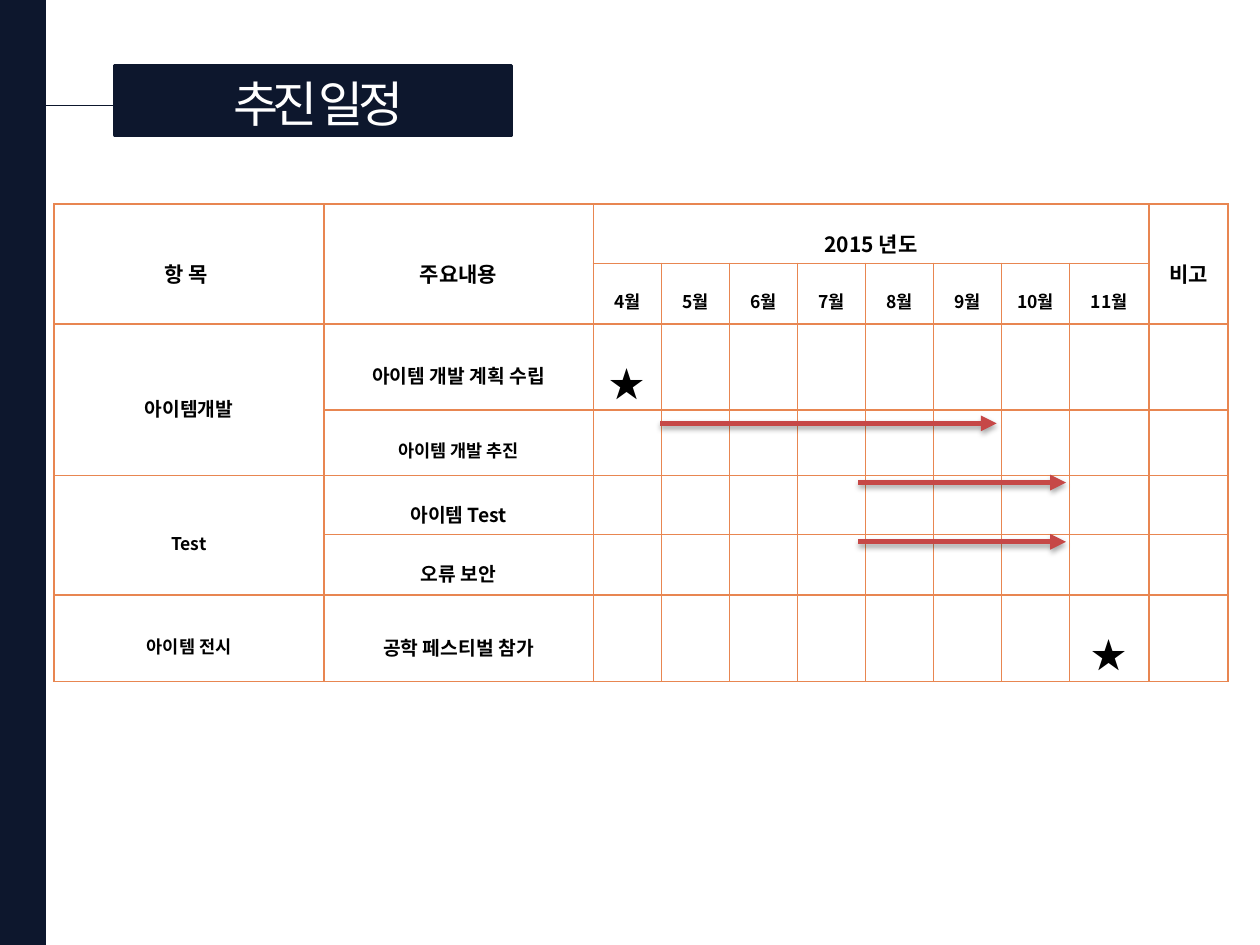
import pptx
import pptx.dml.color
import pptx.enum.shapes
import pptx.enum.text
import pptx.oxml
import pptx.oxml.ns
import pptx.util
from lxml import etree
from pptx.util import Inches

FONT = "Noto Sans CJK KR"
COLORS = {"navy": "0D172D", "white": "FFFFFF", "black": "000000",
          "grid": "E88651", "arrow": "C64847"}
COLUMN_WIDTHS = [2.14] * 2 + [0.54] * 7 + [0.63] * 2
ROW_HEIGHTS = [0.47, 0.48, 0.48, 0.52, 0.47, 0.48, 0.56]
MERGES = [(0, 0, 1, 0), (0, 1, 1, 1), (0, 2, 0, 9), (0, 10, 1, 10),
          (2, 0, 3, 0), (4, 0, 5, 0)]
ENTRIES = {
    (0, 0): ("항 목 ", 12), (0, 1): ("주요내용", 12),
    (0, 2): ("2015 년도", 12), (0, 10): ("비고", 12),
    (2, 0): ("아이템개발", 11), (2, 1): ("아이템 개발 계획 수립", 11),
    (2, 2): ("★", 20), (3, 1): ("아이템 개발 추진", 10),
    (4, 0): ("Test", 10), (4, 1): ("아이템 Test", 11),
    (5, 1): ("오류 보안", 11), (6, 0): ("아이템 전시", 10),
    (6, 1): ("공학 페스티벌 참가", 11), (6, 9): ("★", 20),
    **{(1, month - 2): (f"{month}월", 10) for month in range(4, 12)},
}
ARROWS = [(5.24, 7.91, 3.36), (6.81, 8.46, 3.83), (6.81, 8.46, 4.3)]


def rgb(name):
    """Return the named colour."""
    return pptx.dml.color.RGBColor.from_string(COLORS[name])


def add_child(parent, tag, **attributes):
    """Append a drawing element with attributes to the parent."""
    child = etree.SubElement(parent, pptx.oxml.ns.qn(f"a:{tag}"))
    for name, value in attributes.items():
        child.set(name, str(value))
    return child


def add_run(paragraph, text, size, color, bold=False):
    """Add a centred run in the slide font."""
    paragraph.alignment = pptx.enum.text.PP_ALIGN.CENTER
    run = paragraph.add_run()
    run.text = text
    run.font.size = pptx.util.Pt(size)
    run.font.bold = bold
    run.font.name = FONT
    run.font.color.rgb = rgb(color)
    properties = run.font._element
    add_child(properties, "ea", typeface=FONT)
    return properties


def add_block(slide, left, top, width, height):
    """Add a solid navy rectangle."""
    block = slide.shapes.add_shape(
        pptx.enum.shapes.MSO_SHAPE.RECTANGLE,
        Inches(left), Inches(top), Inches(width), Inches(height))
    block.shadow.inherit = False
    block.fill.solid()
    block.fill.fore_color.rgb = rgb("navy")
    block.line.color.rgb = rgb("navy")
    block.line.width = pptx.util.Pt(2)


def add_line(slide, start, end, y, color, width):
    """Add a horizontal line and return it with its empty effect list."""
    line = slide.shapes.add_connector(
        pptx.enum.shapes.MSO_CONNECTOR.STRAIGHT,
        Inches(start), Inches(y), Inches(end), Inches(y))
    line.line.color.rgb = rgb(color)
    line.line.width = pptx.util.Pt(width)
    return line, add_child(line._element.spPr, "effectLst")


def add_heading(slide, left, top, width, height):
    """Place the side bar, the title block and the title in its box."""
    add_block(slide, 0.91, 0.52, 3.15, 0.55)
    add_block(slide, 0, -0.01, 0.35, 7.51)
    title = slide.shapes.title
    title.left, title.top = Inches(left), Inches(top)
    title.width, title.height = Inches(width), Inches(height)
    slide.shapes._spTree.append(title._element)
    frame = title.text_frame
    frame.word_wrap = True
    frame.vertical_anchor = pptx.enum.text.MSO_ANCHOR.TOP
    properties = add_run(frame.paragraphs[0], "추진 일정", 28, "white")
    properties.set("spc", "-300")
    add_line(slide, 0.28, 0.98, 0.84, "navy", 0.75)


def style_cell(cell):
    """Clear the fill and draw all four borders of a cell."""
    cell.fill.background()
    cell.vertical_anchor = pptx.enum.text.MSO_ANCHOR.MIDDLE
    cell.margin_left = cell.margin_right = Inches(0.02)
    cell.margin_top = cell.margin_bottom = Inches(0.02)
    properties = cell._tc.get_or_add_tcPr()
    for position, side in enumerate(("lnL", "lnR", "lnT", "lnB")):
        border = add_child(properties, side, w=pptx.util.Pt(1))
        fill = add_child(border, "solidFill")
        add_child(fill, "srgbClr", val=COLORS["grid"])
        properties.insert(position, border)


def add_schedule(slide, left, top, width, height):
    """Place the schedule table in its box."""
    schedule = slide.shapes.add_table(
        len(ROW_HEIGHTS), len(COLUMN_WIDTHS),
        Inches(left), Inches(top), Inches(width), Inches(height)).table
    schedule.first_row = schedule.horz_banding = False
    for column, column_width in zip(schedule.columns, COLUMN_WIDTHS):
        column.width = Inches(column_width)
    for row, row_height in zip(schedule.rows, ROW_HEIGHTS):
        row.height = Inches(row_height)
    for cell in schedule.iter_cells():
        style_cell(cell)
    for first_row, first_column, last_row, last_column in MERGES:
        schedule.cell(first_row, first_column).merge(
            schedule.cell(last_row, last_column))
    for (row, column), (text, size) in ENTRIES.items():
        paragraph = schedule.cell(row, column).text_frame.paragraphs[0]
        paragraph.line_spacing = 1.6
        add_run(paragraph, text, size, "black", bold=True)


def add_period_arrow(slide, start, end, y):
    """Place a shadowed arrow over the months of a task."""
    arrow, effects = add_line(slide, start, end, y, "arrow", 3)
    add_child(arrow.line._get_or_add_ln(), "tailEnd", type="triangle")
    shadow = add_child(effects, "outerShdw", blurRad=pptx.util.Pt(3.1),
                       dist=pptx.util.Pt(1.8), dir=90 * 60000, rotWithShape=0)
    shade = add_child(shadow, "srgbClr", val=COLORS["black"])
    add_child(shade, "alpha", val=35000)


def main():
    """Build and save the schedule slide."""
    deck = pptx.Presentation()
    deck.slide_width, deck.slide_height = Inches(10), Inches(7.5)
    slide = deck.slides.add_slide(deck.slide_layouts[5])
    add_heading(slide, 0.83, 0.53, 3.39, 0.57)
    add_schedule(slide, 0.43, 1.62, 9.29, 3.47)
    for start, end, y in ARROWS:
        add_period_arrow(slide, start, end, y)
    deck.save("out.pptx")


if __name__ == "__main__":
    main()
